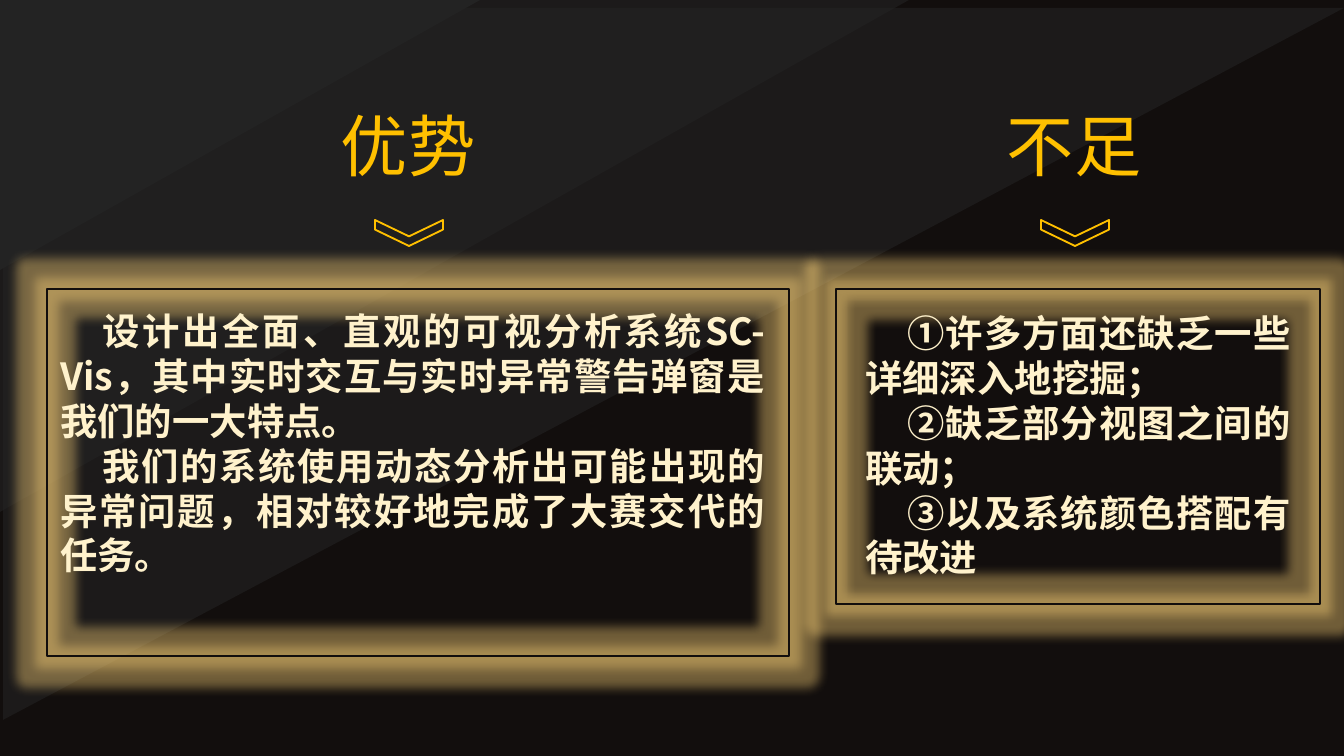
from lxml.etree import SubElement as Sub
from pptx import Presentation
from pptx.dml.color import RGBColor as RGB
from pptx.enum.shapes import MSO_SHAPE as Kind
from pptx.enum.text import MSO_ANCHOR as Anchor, PP_ALIGN as Align
from pptx.oxml.ns import qn
from pptx.util import Pt

SCALE = 914400 / 134.4
FONT = "Noto Sans CJK SC"
COLORS = {
    "back": "120E0D",
    "wedge": "232323",
    "gold": "FFC000",
    "cream": "FFF2CC",
    "glow": "FFD579",
}
WEDGES = [(3, 8, 1341, 712, 60), (0, 0, 909, 512, 60), (0, 0, 480, 270, 100)]
COLUMNS = [
    ("优势", 408, (47, 289, 742, 367), (47, 302, 731, 285), [
        "设计出全面、直观的可视分析系统SC-Vis，其中实时交互与实时异常警告弹窗是我们的一大特点。",
        "我们的系统使用动态分析出可能出现的异常问题，相对较好地完成了大赛交代的任务。",
    ]),
    ("不足", 1074, (836, 289, 484, 315), (852, 304, 452, 285), [
        "①许多方面还缺乏一些详细深入地挖掘；",
        "②缺乏部分视图之间的联动；",
        "③以及系统颜色搭配有待改进",
    ]),
]


def px(n):
    return round(n * SCALE)


def tint(name):
    return RGB.from_string(COLORS[name])


def add_shape(slide, kind, x, y, w, h, turned=False):
    if turned:
        x, y, w, h = x + (w - h) / 2, y + (h - w) / 2, h, w
    shape = slide.shapes.add_shape(kind, px(x), px(y), px(w), px(h))
    shape.rotation = 90 if turned else 0
    shape.shadow.inherit = False
    return shape


def outline(shape, color):
    shape.fill.background()
    shape.line.color.rgb = tint(color)
    shape.line.width = Pt(1)


def add_alpha(color, part):
    Sub(color, qn("a:alpha"), val=str(part * 1000))


def add_wedge(slide, x, y, w, h, part):
    shape = add_shape(slide, Kind.RIGHT_TRIANGLE, x, y, w, h, True)
    shape.fill.solid()
    shape.fill.fore_color.rgb = tint("wedge")
    shape.line.fill.background()
    if part < 100:
        add_alpha(shape.element.spPr.find(".//" + qn("a:srgbClr")), part)


def add_frame(slide, box):
    shape = add_shape(slide, Kind.RECTANGLE, *box)
    outline(shape, "back")
    effects = shape.element.spPr.find(qn("a:effectLst"))
    glow = Sub(effects, qn("a:glow"), rad=str(Pt(11)))
    add_alpha(Sub(glow, qn("a:srgbClr"), val=COLORS["glow"]), 40)


def add_arrow(slide, mid):
    shape = add_shape(slide, Kind.CHEVRON, mid - 33, 220, 68, 26, True)
    shape.adjustments[0] = 0.63
    outline(shape, "gold")


def add_text(slide, box, lines, size, color, align, bold=False, indent=0):
    frame = slide.shapes.add_textbox(*map(px, box)).text_frame
    frame.word_wrap = True
    frame.vertical_anchor = Anchor.TOP
    frame.text = "\n".join(lines)
    for para in frame.paragraphs:
        para.alignment = align
        if indent:
            para._p.get_or_add_pPr().set("indent", str(px(indent)))
        for run in para.runs:
            font = run.font
            font.size, font.bold, font.name = Pt(size), bold, FONT
            font.color.rgb = tint(color)
            Sub(run._r.get_or_add_rPr(), qn("a:ea"), typeface=FONT)


def add_column(slide, head, mid, box, area, lines):
    add_text(slide, (mid - 84, 98, 168, 95), [head], 36, "gold", Align.CENTER)
    add_frame(slide, box)
    add_arrow(slide, mid)
    add_text(slide, area, lines, 20, "cream", Align.JUSTIFY, True, 42)


def main():
    deck = Presentation()
    deck.slide_width, deck.slide_height = px(1344), px(756)
    slide = deck.slides.add_slide(deck.slide_layouts[6])
    slide.background.fill.solid()
    slide.background.fill.fore_color.rgb = tint("back")
    for wedge in WEDGES:
        add_wedge(slide, *wedge)
    for column in COLUMNS:
        add_column(slide, *column)
    deck.save("out.pptx")


if __name__ == "__main__":
    main()
